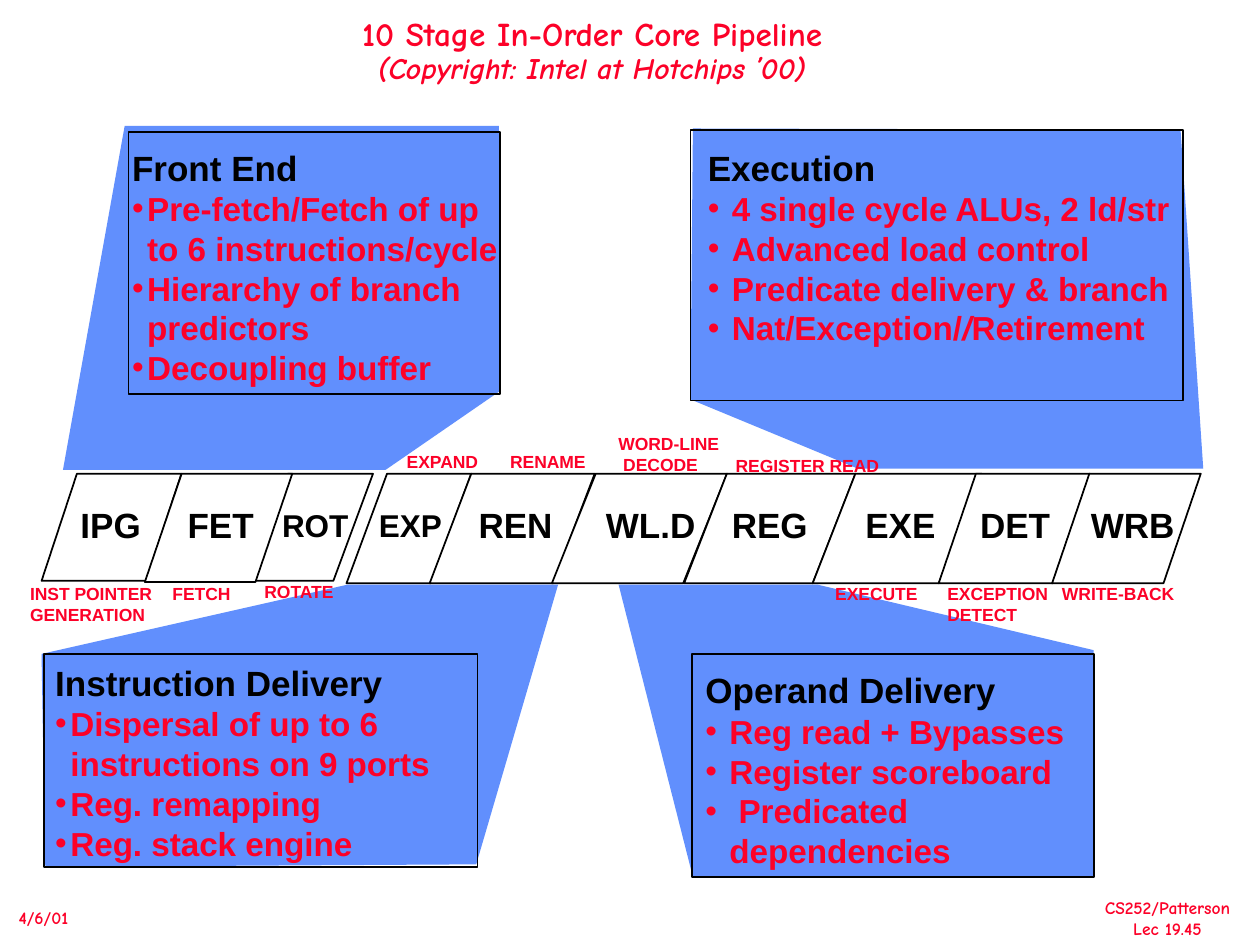
from dataclasses import dataclass

from lxml import etree
from pptx import Presentation
from pptx.dml.color import RGBColor
from pptx.enum import shapes, text
from pptx.oxml import ns
from pptx.util import Inches, Pt


@dataclass(frozen=True)
class Theme:
    red: RGBColor = RGBColor(0xFC, 0x01, 0x28)
    black: RGBColor = RGBColor(0, 0, 0)
    white: RGBColor = RGBColor(255, 255, 255)
    blue: RGBColor = RGBColor(0x61, 0x8F, 0xFD)
    body_font: str = "Arial"
    title_font: str = "Comic Neue"
    title: int = 19
    subtitle: int = 17
    heading: int = 20
    bullet: int = 19
    bullet_pitch: float = 22.8
    narrow_stage: int = 18
    small: int = 10
    line: int = 1


THEME = Theme()
STAGE_TOP = 3.76

CALLOUTS = [
    ("Front End",
     ["Pre-fetch/Fetch of up to 6 instructions/cycle",
      "Hierarchy of branch predictors", "Decoupling buffer"],
     [(0.5, 3.73), (0.99, 1), (3.96, 1), (3.96, 3.11), (3.06, 3.73)],
     (1.02, 1.05, 2.95, 2.08), (0.95, 1.11, 3.15, 2.01), 0.12),
    ("Instruction Delivery",
     ["Dispersal of up to 6 instructions on 9 ports", "Reg. remapping", "Reg. stack engine"],
     [(0.33, 5.19), (2.76, 4.64), (4.43, 4.64), (3.78, 6.86), (0.36, 6.88)],
     (0.35, 5.19, 3.44, 1.69), (0.34, 5.2, 3.2, 1.7), 0.12),
    ("Operand Delivery",
     ["Reg read + Bypasses", "Register scoreboard", " Predicated dependencies"],
     [(4.91, 4.64), (5.5, 6.96), (8.68, 6.96), (8.68, 5.16), (6.49, 4.64)],
     (5.49, 5.19, 3.19, 1.77), (5.5, 5.26, 3.18, 1.7), 0.19),
    ("Execution",
     ["4 single cycle ALUs, 2 ld/str", "Advanced load control",
      "Predicate delivery & branch", "Nat/Exception/|/|Retirement"],
     [(5.5, 1.02), (9.37, 1.03), (9.55, 3.72), (6.81, 3.72), (5.48, 3.17)],
     (5.48, 1.03, 3.91, 2.15), (5.52, 1.11, 4.13, 1.7), 0.19),
]

STAGES = [
    ("IPG", 0.33, 1.11, 0.85, 0.33, 0.54, 0.72, THEME.heading),
    ("ROT", 1.97, 0.99, 0.85, 0.37, 2.14, 0.77, THEME.narrow_stage),
    ("FET", 1.15, 1.17, 0.86, 0.34, 1.39, 0.76, THEME.heading),
    ("EXP", 2.75, 0.99, 0.87, 0.37, 2.91, 0.74, THEME.narrow_stage),
    ("REN", 3.41, 1.31, 0.87, 0.38, 3.7, 0.83, THEME.heading),
    ("WL.D", 4.38, 1.39, 0.87, 0.4, 4.71, 0.95, THEME.heading),
    ("REG", 5.43, 1.36, 0.87, 0.39, 5.71, 0.84, THEME.heading),
    ("EXE", 6.45, 1.34, 0.87, 0.39, 6.77, 0.8, THEME.heading),
    ("DET", 7.45, 1.2, 0.87, 0.34, 7.68, 0.8, THEME.heading),
    ("WRB", 8.35, 1.18, 0.87, 0.34, 8.56, 0.9, THEME.heading),
]

CAPTIONS = [
    ("EXPAND", 3.13, 3.53, 0.8, 0.27),
    ("RENAME", 3.95, 3.53, 0.83, 0.27),
    ("WORD-LINE\n DECODE", 4.81, 3.39, 1.03, 0.44),
    ("REGISTER READ", 5.74, 3.56, 1.37, 0.27),
    ("INST POINTER\nGENERATION", 0.14, 4.58, 1.23, 0.44),
    ("FETCH", 1.27, 4.58, 0.69, 0.27),
    ("ROTATE", 2, 4.56, 0.8, 0.27),
    ("EXECUTE", 6.53, 4.58, 0.88, 0.27),
    ("EXCEPTION\nDETECT", 7.42, 4.58, 1.03, 0.44),
    ("WRITE-BACK", 8.33, 4.58, 1.12, 0.27),
]


def style(r, size, color, font=THEME.body_font, italic=False):
    r.font.name = font
    r.font.size = Pt(size)
    r.font.color.rgb = color
    r.font.bold = True
    r.font.italic = italic


def add_label(s, content, box, size, color=THEME.red, font=THEME.body_font, align=None):
    tf = s.shapes.add_textbox(*map(Inches, box)).text_frame
    tf.word_wrap = False
    tf.text = content
    for p in tf.paragraphs:
        p.alignment = align
        for r in p.runs:
            style(r, size, color, font)


def add_title(s):
    tf = s.shapes.add_textbox(*map(Inches, (0.33, 0.14, 8.74, 0.75))).text_frame
    tf.word_wrap = True
    tf.margin_top = 0
    p = tf.paragraphs[0]
    p.text = "10 Stage In-Order Core Pipeline\v(Copyright: Intel at Hotchips ’00)"
    p.alignment = text.PP_ALIGN.CENTER
    p.line_spacing = 0.9
    main_line, credit = p.runs
    style(main_line, THEME.title, THEME.red, THEME.title_font)
    style(credit, THEME.subtitle, THEME.red, THEME.title_font, italic=True)


def set_bullet(p, indent):
    pPr = p._p.get_or_add_pPr()
    pPr.set("marL", str(Inches(indent)))
    pPr.set("indent", str(-Inches(indent)))
    color = etree.SubElement(pPr, ns.qn("a:buClr"))
    etree.SubElement(color, ns.qn("a:srgbClr"), val=str(THEME.red))
    etree.SubElement(pPr, ns.qn("a:buFont"), typeface=THEME.body_font)
    etree.SubElement(pPr, ns.qn("a:buChar"), char="•")


def add_callout(s, heading, items, outline, frame, box, indent):
    points = [(Inches(x), Inches(y)) for x, y in outline]
    builder = s.shapes.build_freeform(*points[0])
    builder.add_line_segments(points[1:], close=True)
    beam = builder.convert_to_shape()
    beam.shadow.inherit = False
    beam.fill.solid()
    beam.fill.fore_color.rgb = THEME.blue
    beam.line.fill.background()

    add_outlined(s, shapes.MSO_SHAPE.RECTANGLE, frame).fill.background()

    tf = s.shapes.add_textbox(*map(Inches, box)).text_frame
    tf.word_wrap = True
    tf.text = heading
    style(tf.paragraphs[0].runs[0], THEME.heading, THEME.black)
    for item in items:
        p = tf.add_paragraph()
        set_bullet(p, indent)
        p.line_spacing = Pt(THEME.bullet_pitch)
        for i, part in enumerate(item.split("|")):
            r = p.add_run()
            r.text = part
            style(r, THEME.bullet, THEME.red, italic=i % 2 == 1)


def add_outlined(s, kind, box):
    sp = s.shapes.add_shape(kind, *map(Inches, box))
    sp.shadow.inherit = False
    sp.line.color.rgb = THEME.black
    sp.line.width = Pt(THEME.line)
    return sp


def add_stage(s, left, width, height, slant):
    sp = add_outlined(s, shapes.MSO_SHAPE.PARALLELOGRAM, (left, STAGE_TOP, width, height))
    sp.adjustments[0] = slant
    sp.fill.solid()
    sp.fill.fore_color.rgb = THEME.white


def main():
    prs = Presentation()
    prs.slide_width, prs.slide_height = Inches(10), Inches(7.5)
    s = prs.slides.add_slide(prs.slide_layouts[6])

    add_label(s, "CS252/Patterson\nLec 19.45", (8.66, 7.07, 1.21, 0.43), THEME.small,
              font=THEME.title_font, align=text.PP_ALIGN.CENTER)
    add_label(s, "4/6/01", (0.05, 7.15, 0.59, 0.27), THEME.small, font=THEME.title_font)
    add_title(s)
    for callout in CALLOUTS:
        add_callout(s, *callout)
    for _, left, width, height, slant, *_ in STAGES:
        add_stage(s, left, width, height, slant)
    for name, *_, left, width, size in STAGES:
        top, height = (3.95, 0.43) if size == THEME.heading else (3.97, 0.4)
        add_label(s, name, (left, top, width, height), size, THEME.black)
    for caption, *box in CAPTIONS:
        add_label(s, caption, box, THEME.small)

    prs.save("out.pptx")


if __name__ == "__main__":
    main()
